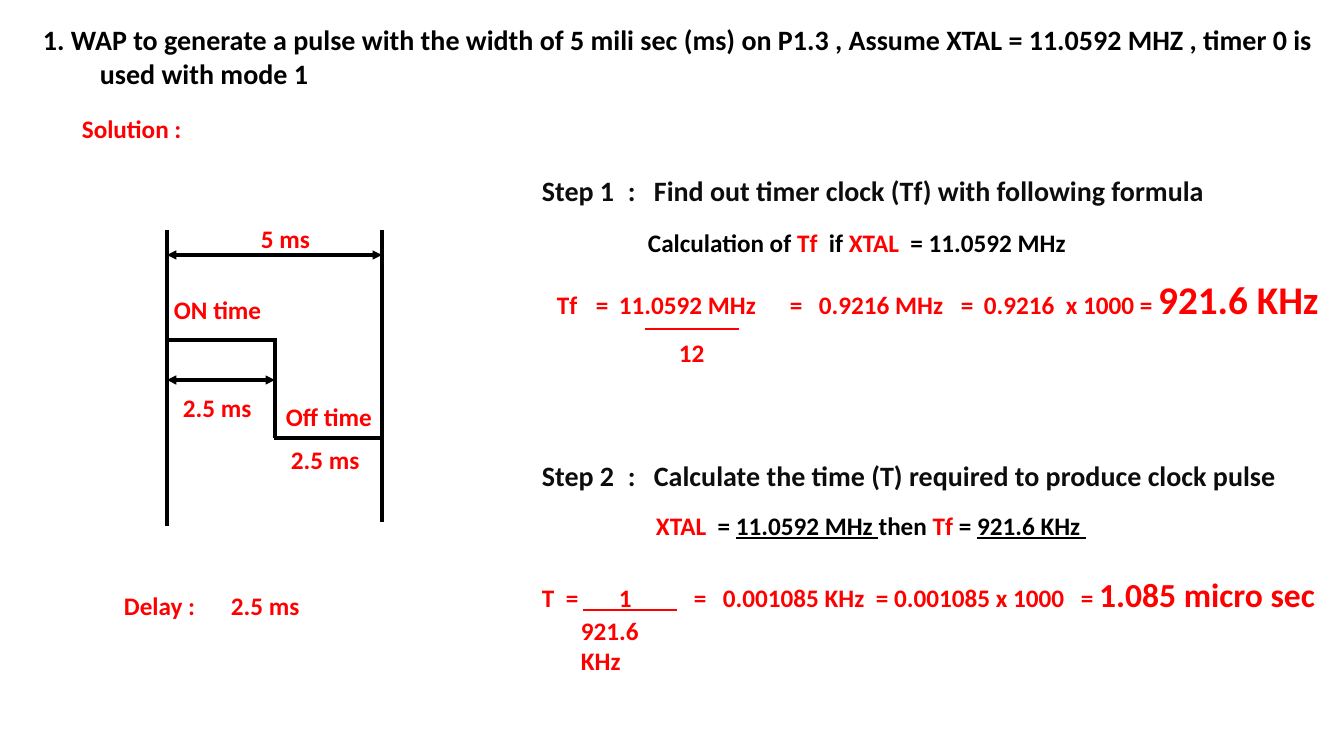
from dataclasses import dataclass

from lxml.etree import SubElement
from pptx import Presentation
from pptx.dml.color import RGBColor
from pptx.enum.shapes import MSO_CONNECTOR
from pptx.enum.text import MSO_AUTO_SIZE
from pptx.oxml.ns import qn
from pptx.util import Emu, Pt

EMU_PER_PX = 914400 / 100.8
SLIDE_W, SLIDE_H = 1344, 756


def px(length):
    return Emu(round(length * EMU_PER_PX))


@dataclass(frozen=True)
class Theme:
    font: str = "Calibri"
    black: str = "000000"
    ink: str = "0D0D0D"
    red: str = "FF0000"
    body: int = 18
    heading: int = 20
    result_t: int = 24
    result_tf: int = 28
    pulse_line: float = 2.25
    fraction_line: float = 1.5


class SlideBuilder:
    def __init__(self, slide, theme):
        self.slide = slide
        self.theme = theme

    def text(self, left, top, width, height, paragraphs, color=None,
             size=None, tabs=(), wrap=True):
        """Each paragraph is (indent, runs); a run is (text, format changes)."""
        box = self.slide.shapes.add_textbox(px(left), px(top), px(width), px(height))
        frame = box.text_frame
        frame.word_wrap = wrap
        frame.auto_size = MSO_AUTO_SIZE.SHAPE_TO_FIT_TEXT
        for index, (indent, runs) in enumerate(paragraphs):
            paragraph = frame.add_paragraph() if index else frame.paragraphs[0]
            properties = paragraph._p.get_or_add_pPr()
            if indent:
                properties.set("marL", str(px(indent)))
                properties.set("indent", "0")
            if tabs:
                tab_list = SubElement(properties, qn("a:tabLst"))
                for stop in tabs:
                    SubElement(tab_list, qn("a:tab"), pos=str(px(stop)), algn="l")
            for words, changes in runs:
                run = paragraph.add_run()
                run.text = words
                style = {"color": color or self.theme.red,
                         "size": size or self.theme.body, **changes}
                run.font.color.rgb = RGBColor.from_string(style.pop("color"))
                style["size"] = Pt(style["size"])
                for name, value in {"name": self.theme.font, "bold": True, **style}.items():
                    setattr(run.font, name, value)

    def label(self, left, top, width, words, **options):
        self.text(left, top, width, 40, [(0, [(words, {})])], **options)

    def line(self, x1, y1, x2, y2, color, weight, arrows=False):
        connector = self.slide.shapes.add_connector(
            MSO_CONNECTOR.STRAIGHT, px(x1), px(y1), px(x2), px(y2))
        connector.line.color.rgb = RGBColor.from_string(color)
        connector.line.width = Pt(weight)
        if arrows:
            outline = connector.line._get_or_add_ln()
            for end in ("a:headEnd", "a:tailEnd"):
                SubElement(outline, qn(end), type="triangle")
        SubElement(connector._element.spPr, qn("a:effectLst"))


def draw_question(page, theme):
    page.text(33, 18, SLIDE_W - 33, 78, [
        (0, [("1. WAP to generate a pulse with the width of 5 mili sec (ms) on P1.3 , "
              "Assume XTAL = 11.0592 MHZ , timer 0 is", {})]),
        (57, [("used with mode 1", {})]),
    ], color=theme.black, size=theme.heading)
    page.label(72, 108, 127, "Solution :")


def draw_pulse(page, theme):
    start, middle, end = 167, 275, 382
    high, low, top = 340, 438, 230

    # Pulse levels, edges and time spans
    for x1, y1, x2, y2, arrows in (
        (start, high, middle, high, False),
        (middle - 1, low, end, low, False),
        (middle, high - 2, middle, low, False),
        (start, top, start, 526, False),
        (end, top, end, 522, False),
        (start, 255, end, 255, True),
        (start, 380, middle, 380, True),
    ):
        page.line(x1, y1, x2, y2, theme.black, theme.pulse_line, arrows)

    # Times and states
    for left, label_top, width, words in (
        (251, 218, 85, "5 ms"),
        (173, 387, 94, "2.5 ms"),
        (281, 439, 94, "2.5 ms"),
        (164, 289, 131, "ON time"),
        (276, 396, 148, "Off time"),
        (114, 585, 107, "Delay :"),
        (221, 585, 94, "2.5 ms"),
    ):
        page.label(left, label_top, width, words)


def draw_steps(page, theme):
    step_left = 532
    black, underlined = {"color": theme.black}, {"color": theme.black, "underline": True}

    # Step headings
    for top, words in (
        (169, "Step 1\t:\tFind out timer clock (Tf) with following formula"),
        (454, "Step 2\t:\tCalculate the time (T) required to produce clock pulse"),
    ):
        page.label(step_left, top, SLIDE_W - step_left, words,
                   color=theme.ink, size=theme.heading, tabs=(86, 112))

    # Given values
    page.text(638, 222, 690, 40, [(0, [
        ("Calculation of ", black), ("Tf ", {}), (" if ", black),
        ("XTAL ", {}), (" = 11.0592 MHz", black),
    ])])
    page.text(646, 505, 658, 40, [(0, [
        ("XTAL ", {}), (" = ", black), ("11.0592 MHz ", underlined),
        ("then ", black), ("Tf", {}), (" = ", black), ("921.6 KHz ", underlined),
    ])])

    # Timer clock equation
    page.text(547, 270, SLIDE_W - 547, 57, [(0, [
        ("Tf\t=\t11.0592 MHz\t=\t0.9216 MHz\t=\t0.9216\tx 1000 = ", {}),
        ("921.6 KHz", {"size": theme.result_tf}),
    ])], tabs=(39, 62, 233, 262, 404, 427, 509))
    page.line(645, 329, 739, 329, theme.red, theme.fraction_line)
    page.label(669, 332, 46, "12", wrap=False)

    # Clock period equation
    page.text(step_left, 569, SLIDE_W - step_left, 50, [(0, [
        ("T\t=\t1\t=\t0.001085 KHz\t= 0.001085 x 1000\t= ", {}),
        ("1.085 micro sec", {"size": theme.result_t}),
    ])], tabs=(24, 77, 152, 181, 334, 539))
    page.line(583, 610, 677, 610, theme.red, theme.fraction_line)
    page.label(571, 610, 123, "921.6 KHz", wrap=False)


def main():
    presentation = Presentation()
    presentation.slide_width, presentation.slide_height = px(SLIDE_W), px(SLIDE_H)
    theme = Theme()
    page = SlideBuilder(presentation.slides.add_slide(presentation.slide_layouts[6]), theme)
    draw_question(page, theme)
    draw_pulse(page, theme)
    draw_steps(page, theme)
    presentation.save("out.pptx")


if __name__ == "__main__":
    main()
